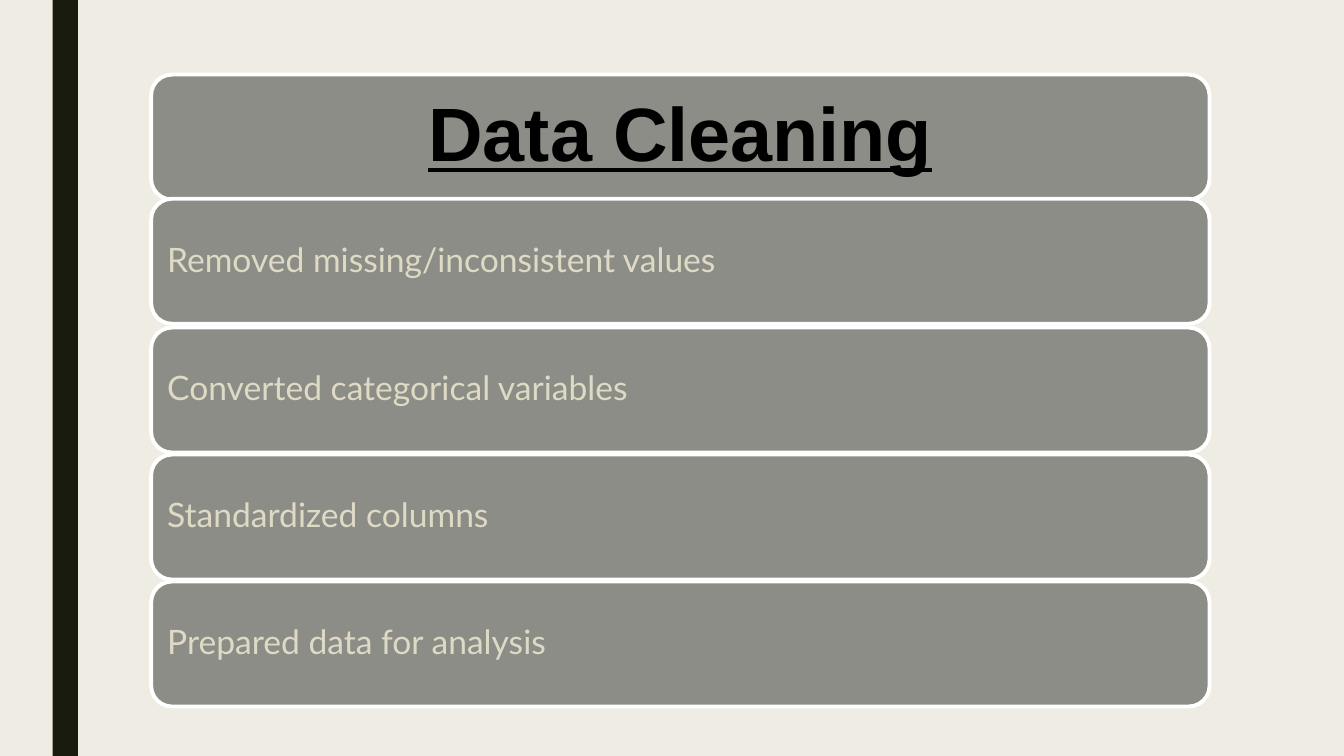
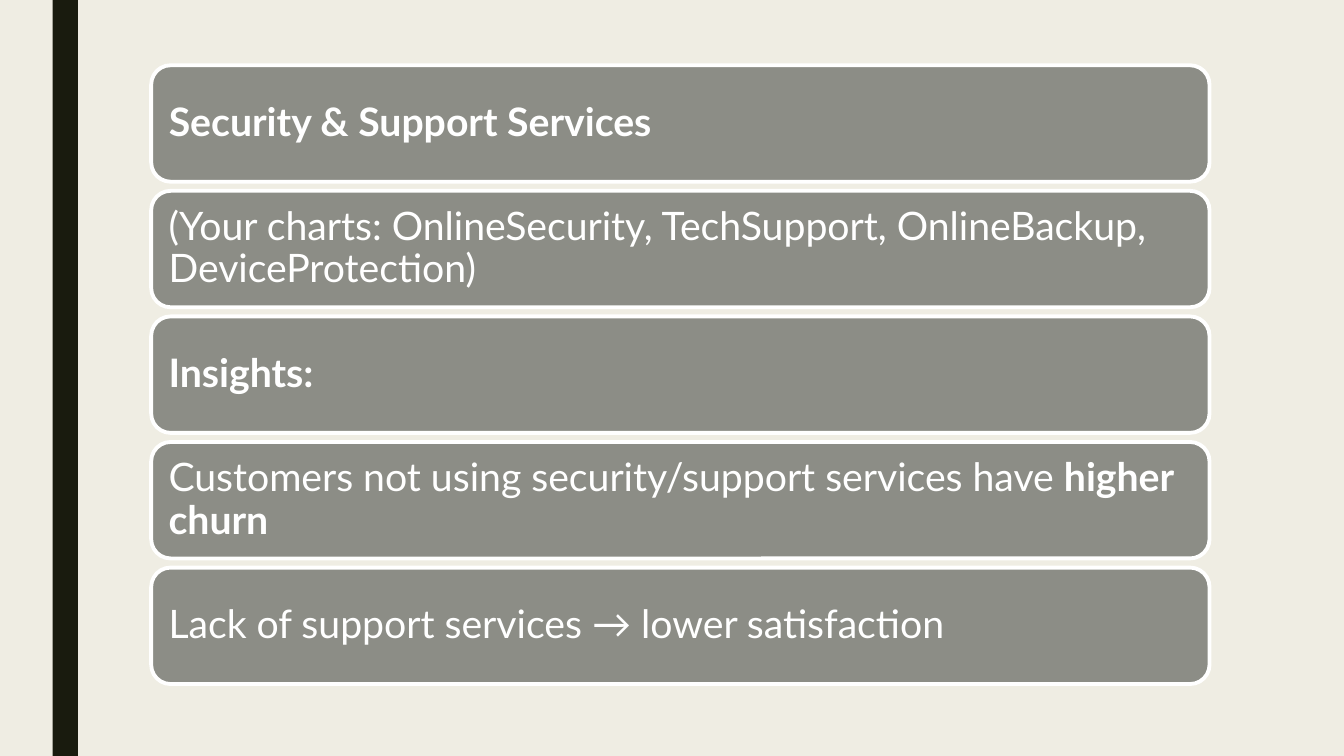
import pptx
import pptx.util
import pptx.dml.color
import pptx.enum.shapes
import pptx.enum.text

Pt = pptx.util.Pt
BACKGROUND = "EFEDE3"
BAR = "191B0E"
PANEL = "8C8D86"
WHITE = "FFFFFF"
CREAM = "DEDAC5"
BLACK = "000000"
PANEL_LEFT = 108
PANEL_WIDTH = 756
TITLE_INSET = 4.2


def paint(target, color):
    if hasattr(target, "solid"):
        target.solid()
        target = target.fore_color
    target.rgb = pptx.dml.color.RGBColor.from_string(color)


def write_text(shape, runs, style, margin):
    frame = shape.text_frame
    frame.word_wrap = True
    frame.auto_size = pptx.enum.text.MSO_AUTO_SIZE.NONE
    frame.vertical_anchor = pptx.enum.text.MSO_ANCHOR.MIDDLE
    frame.margin_left = frame.margin_right = Pt(margin)
    frame.margin_top = frame.margin_bottom = Pt(margin)
    para = frame.paragraphs[0]
    para.alignment = style["align"]
    para.line_spacing = 0.9
    for text, bold in runs:
        span = para.add_run()
        span.text = text
        span.font.name = style["font"]
        span.font.size = Pt(style["size"])
        span.font.bold = bold
        span.font.underline = style["underline"]
        paint(span.font.color, style["color"])


LEFT = pptx.enum.text.PP_ALIGN.LEFT
CENTER = pptx.enum.text.PP_ALIGN.CENTER
heading = {"font": "Arial", "size": 54, "color": BLACK, "align": CENTER, "underline": True}
step = {"font": "Lato", "size": 24, "color": CREAM, "align": LEFT, "underline": False}
insight = {"font": "Lato", "size": 28, "color": WHITE, "align": LEFT, "underline": False}

pages = [
    {
        "tops": [53.3, 142, 234, 324.7, 415.4],
        "height": 89.3,
        "title_style": heading,
        "title_margin": 16.2,
        "style": step,
        "margin": 7.2,
        "panels": [
            [("Data Cleaning", True)],
            [("Removed missing/inconsistent values", False)],
            [("Converted categorical variables", False)],
            [("Standardized columns", False)],
            [("Prepared data for analysis", False)],
        ],
    },
    {
        "tops": [46.6 + 89.7 * row for row in range(5)],
        "height": 83.2,
        "title_style": insight,
        "title_margin": 8.4,
        "style": insight,
        "margin": 8.4,
        "panels": [
            [("Security & Support Services", True)],
            [("(Your charts: OnlineSecurity, TechSupport, OnlineBackup, DeviceProtection)", False)],
            [("Insights:", True)],
            [("Customers not using security/support services have ", False), ("higher churn", True)],
            [("Lack of support services → lower satisfaction", False)],
        ],
    },
]

deck = pptx.Presentation()
deck.slide_width = Pt(960)
deck.slide_height = Pt(540)
master = deck.slide_master
paint(master.background.fill, BACKGROUND)
title_only = deck.slide_layouts[5]

for number, content in enumerate(pages):
    page = deck.slides.add_slide(title_only)
    if number == 0:
        bar = page.shapes.add_shape(
            pptx.enum.shapes.MSO_SHAPE.RECTANGLE, Pt(37.6), Pt(0), Pt(18), Pt(540))
        bar.shadow.inherit = False
        paint(bar.fill, BAR)
        bar.line.fill.background()
        bar.element.nvSpPr.cNvPr.set("id", "20")
        master.shapes.element.insert(2, bar.element)

    title = page.shapes.title
    for top, runs in zip(content["tops"], content["panels"]):
        panel = page.shapes.add_shape(
            pptx.enum.shapes.MSO_SHAPE.ROUNDED_RECTANGLE,
            Pt(PANEL_LEFT), Pt(top), Pt(PANEL_WIDTH), Pt(content["height"]))
        panel.shadow.inherit = False
        paint(panel.fill, PANEL)
        paint(panel.line.fill, WHITE)
        panel.line.width = Pt(2.75)
        if top == content["tops"][0]:
            title.element.addprevious(panel.element)
            title.left = Pt(PANEL_LEFT + TITLE_INSET)
            title.top = Pt(top + TITLE_INSET)
            title.width = Pt(PANEL_WIDTH - 2 * TITLE_INSET)
            title.height = Pt(content["height"] - 2 * TITLE_INSET)
            write_text(title, runs, content["title_style"], content["title_margin"])
        else:
            write_text(panel, runs, content["style"], content["margin"])

deck.save("out.pptx")
